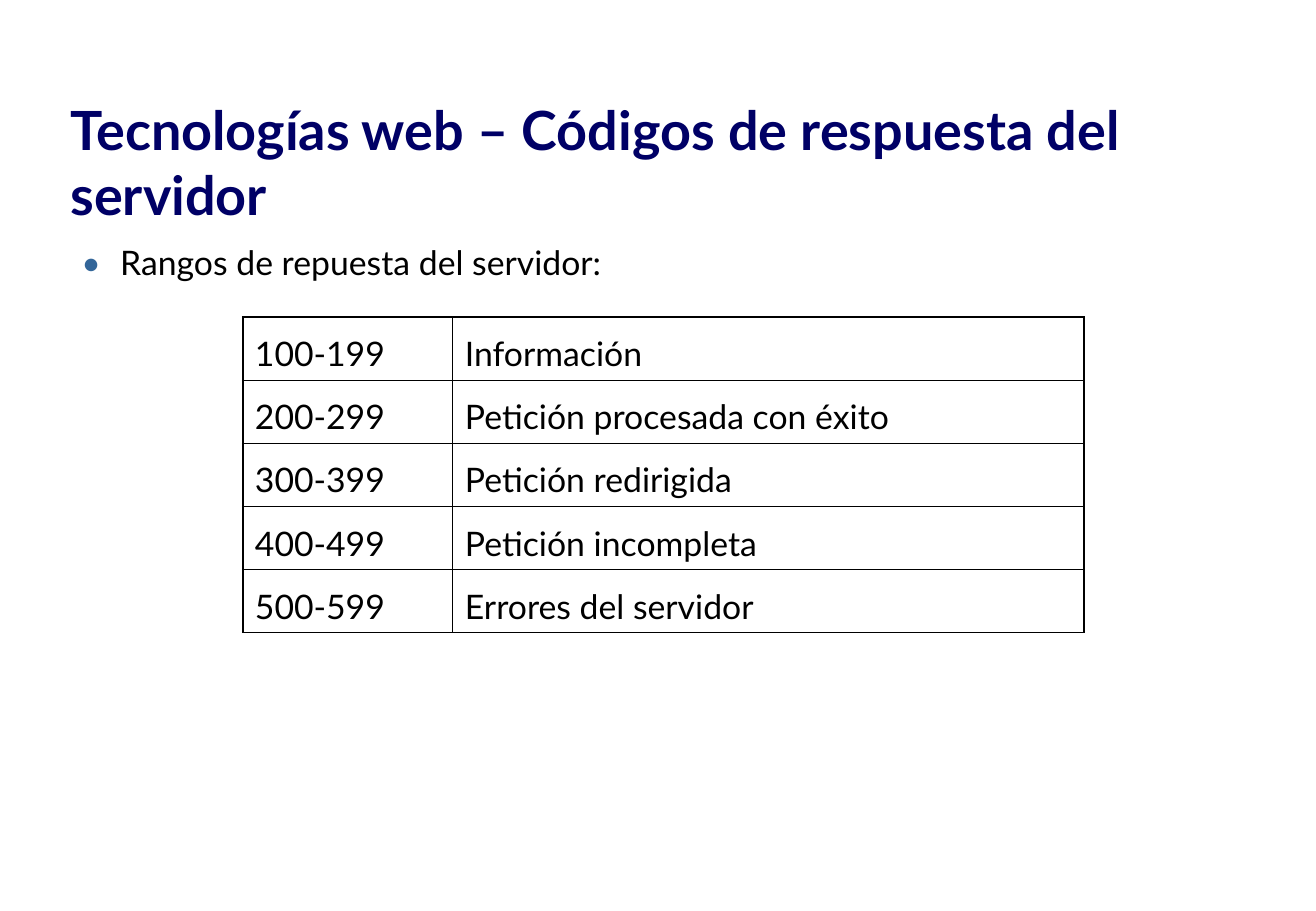
from lxml.etree import SubElement
from pptx import Presentation
from pptx.dml.color import RGBColor
from pptx.enum.text import MSO_ANCHOR
from pptx.oxml import parse_xml
from pptx.oxml.ns import nsdecls, qn
from pptx.util import Pt

EMU_PER_PX = 9144
NAVY = RGBColor(0x00, 0x00, 0x66)
BLUE = RGBColor(0x33, 0x66, 0x99)
BLACK = RGBColor(0x00, 0x00, 0x00)
OUTER_LINE = Pt(1.08)
INNER_LINE = Pt(0.45)

RESPONSE_RANGES = [
    ("100-199", "Información"),
    ("200-299", "Petición procesada con éxito"),
    ("300-399", "Petición redirigida"),
    ("400-499", "Petición incompleta"),
    ("500-599", "Errores del servidor"),
]


def px(length):
    return length * EMU_PER_PX


class SlideBuilder:
    font_name = "Lato"
    title_size = 32
    body_size = 20
    inset = 5
    cell_inset = 10

    def __init__(self, slide):
        self.slide = slide

    def format_text(self, paragraph, size, color, bold=False):
        for run in paragraph.runs:
            run.font.name = self.font_name
            run.font.size = Pt(size)
            run.font.bold = bold
            run.font.color.rgb = color

    def format_body(self, paragraph):
        paragraph.line_spacing = 1.25
        paragraph.space_before = Pt(12.5)
        self.format_text(paragraph, self.body_size, BLACK)

    def text_box(self, left, top, width, height, text, anchor):
        shape = self.slide.shapes.add_textbox(px(left), px(top), px(width), px(height))
        frame = shape.text_frame
        frame.word_wrap = True
        frame.vertical_anchor = anchor
        frame.margin_left = frame.margin_right = px(self.inset)
        frame.margin_top = frame.margin_bottom = px(self.inset)
        frame.text = text
        return frame.paragraphs[0]

    def title(self, left, top, width, height, text):
        paragraph = self.text_box(left, top, width, height, text, MSO_ANCHOR.BOTTOM)
        self.format_text(paragraph, self.title_size, NAVY, bold=True)

    def bullet(self, left, top, width, height, text):
        paragraph = self.text_box(left, top, width, height, text, MSO_ANCHOR.TOP)
        self.format_body(paragraph)
        properties = paragraph._p.get_or_add_pPr()
        properties.set("marL", str(px(38)))
        properties.set("indent", str(px(-32)))
        bullet_color = SubElement(properties, qn("a:buClr"))
        SubElement(bullet_color, qn("a:srgbClr"), val=str(BLUE))
        SubElement(properties, qn("a:buFont"), typeface=self.font_name)
        SubElement(properties, qn("a:buChar"), char="•")

    def cell_borders(self, cell, outer_sides):
        properties = cell._tc.get_or_add_tcPr()
        for position, side in enumerate("LRTB"):
            width = OUTER_LINE if side in outer_sides else INNER_LINE
            properties.insert(position, parse_xml(
                f'<a:ln{side} {nsdecls("a")} w="{int(width)}"><a:solidFill>'
                f'<a:srgbClr val="{BLACK}"/></a:solidFill></a:ln{side}>'))

    def table(self, left, top, column_widths, row_height, rows):
        last_row, last_column = len(rows) - 1, len(column_widths) - 1
        table = self.slide.shapes.add_table(
            len(rows), len(column_widths), px(left), px(top),
            px(sum(column_widths)), px(row_height * len(rows))).table
        table.first_row = table.horz_banding = False
        for column, width in zip(table.columns, column_widths):
            column.width = px(width)
        for row_index, texts in enumerate(rows):
            table.rows[row_index].height = px(row_height)
            for column_index, text in enumerate(texts):
                cell = table.cell(row_index, column_index)
                cell.fill.background()
                cell.margin_left = cell.margin_right = px(self.cell_inset)
                cell.margin_top = cell.margin_bottom = px(self.inset)
                cell.text_frame.text = text
                self.format_body(cell.text_frame.paragraphs[0])
                edges = {"L": column_index == 0, "R": column_index == last_column,
                         "T": row_index == 0, "B": row_index == last_row}
                self.cell_borders(cell, [side for side, outer in edges.items() if outer])


def main():
    presentation = Presentation()
    presentation.slide_width = px(1084)
    presentation.slide_height = px(750)
    slide = presentation.slides.add_slide(presentation.slide_layouts[6])
    builder = SlideBuilder(slide)
    builder.title(53, 60, 892, 131, "Tecnologías web – Códigos de respuesta del servidor")
    builder.bullet(56, 186, 971, 520, "Rangos de repuesta del servidor:")
    builder.table(200, 261, [173, 520], 52, RESPONSE_RANGES)
    presentation.save("out.pptx")


if __name__ == "__main__":
    main()
